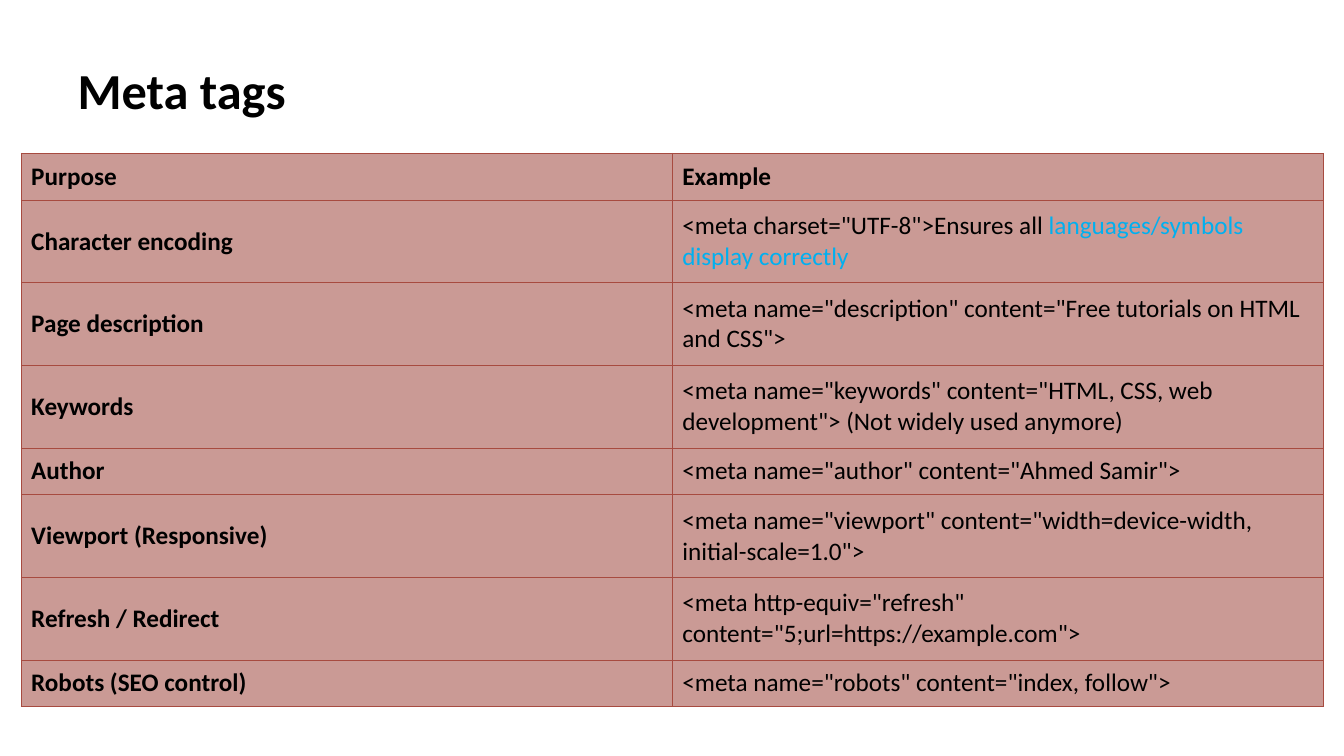
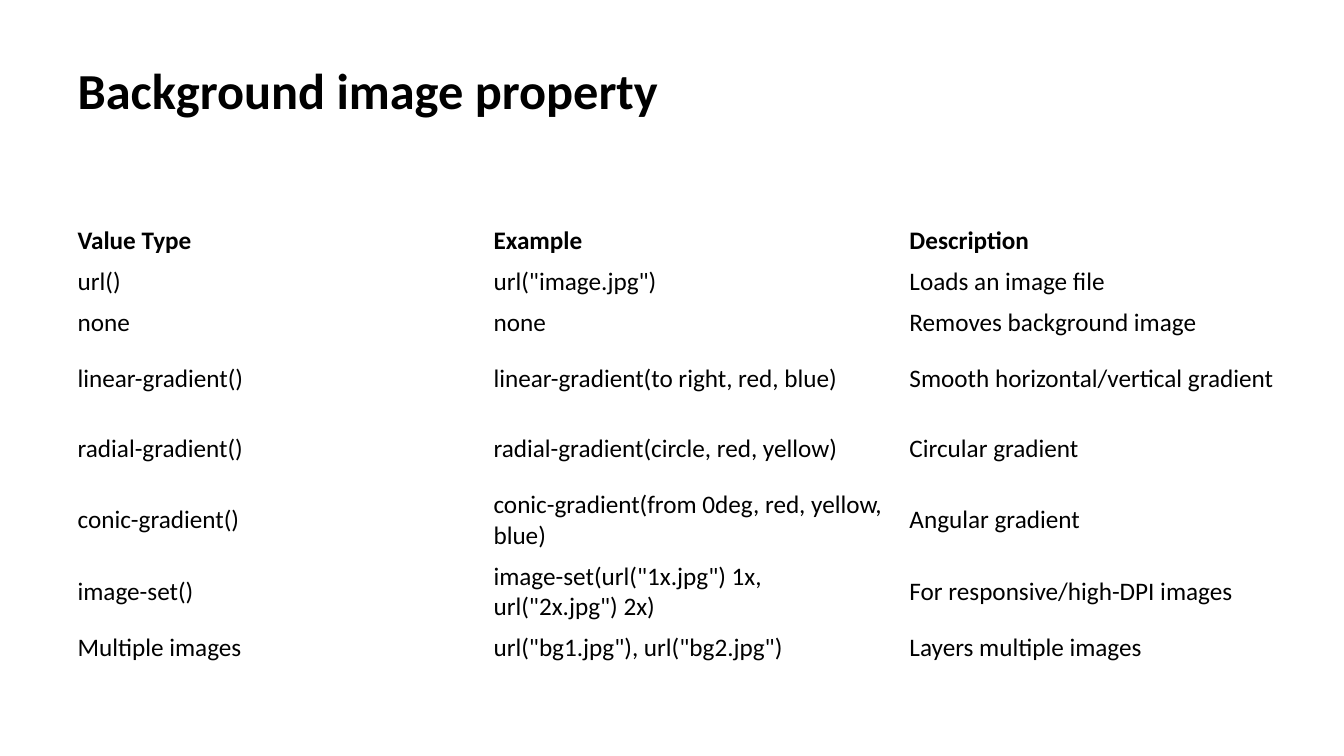
from dataclasses import dataclass

import pptx
import pptx.dml.color
import pptx.enum.text
import pptx.oxml
import pptx.oxml.ns
import pptx.util

Pt = pptx.util.Pt
RGB = pptx.dml.color.RGBColor.from_string
ANCHOR = pptx.enum.text.MSO_ANCHOR


@dataclass(frozen=True)
class Theme:
    font: str = "Calibri"
    title_size: float = 36
    cell_size: float = 18
    text: str = "000000"
    highlight: str = "00B0F0"
    fill: str = "CA9A95"
    border: str = "A74B40"
    border_width: float = 0.5
    plain_table_style: str = "{2D5ABB26-0587-4C30-8999-92F81FD0307C}"


THEME = Theme()
SLIDE_SIZE = (960, 540)
TITLE_BOX = (48.24, 43.2, 838.8, 89.28)

# A cell is a string, or a (plain, highlighted) pair.
SLIDES = [
    {
        "title": "Meta tags",
        "origin": (15.12, 109.44),
        "column_width": 465.12,
        "row_heights": [33.5, 59, 59, 59, 33.5, 59, 59, 33.5],
        "bold_first_column": True,
        "boxed": True,
        "rows": [
            ("Purpose", "Example"),
            ("Character encoding",
             ('<meta charset="UTF-8">Ensures all ', "languages/symbols display correctly")),
            ("Page description",
             '<meta name="description" content="Free tutorials on HTML and CSS">'),
            ("Keywords",
             '<meta name="keywords" content="HTML, CSS, web development"> (Not widely used anymore)'),
            ("Author", '<meta name="author" content="Ahmed Samir">'),
            ("Viewport (Responsive)",
             '<meta name="viewport" content="width=device-width, initial-scale=1.0">'),
            ("Refresh / Redirect",
             '<meta http-equiv="refresh" content="5;url=https://example.com">'),
            ("Robots (SEO control)", '<meta name="robots" content="index, follow">'),
        ],
    },
    {
        "title": "Background image property",
        "origin": (48.24, 157.68),
        "column_width": 297.12,
        "row_heights": [28.8, 28.8, 28.8, 50.4, 50.4, 50.4, 50.4, 28.8],
        "bold_first_column": False,
        "boxed": False,
        "rows": [
            ("Value Type", "Example", "Description"),
            ("url()", 'url("image.jpg")', "Loads an image file"),
            ("none", "none", "Removes background image"),
            ("linear-gradient()", "linear-gradient(to right, red, blue)",
             "Smooth horizontal/vertical gradient"),
            ("radial-gradient()", "radial-gradient(circle, red, yellow)", "Circular gradient"),
            ("conic-gradient()", "conic-gradient(from 0deg, red, yellow, blue)",
             "Angular gradient"),
            ("image-set()", 'image-set(url("1x.jpg") 1x, url("2x.jpg") 2x)',
             "For responsive/high-DPI images"),
            ("Multiple images", 'url("bg1.jpg"), url("bg2.jpg")', "Layers multiple images"),
        ],
    },
]


def style_span(span, size, color, bold):
    span.font.name = THEME.font
    span.font.size = Pt(size)
    span.font.bold = bold
    span.font.color.rgb = RGB(color)


def place_title(box):
    box.left, box.top, box.width, box.height = map(Pt, TITLE_BOX)
    box.text_frame.vertical_anchor = ANCHOR.TOP
    box.text_frame.auto_size = pptx.enum.text.MSO_AUTO_SIZE.NONE


def write_title(box, text):
    box.text_frame.text = text
    para = box.text_frame.paragraphs[0]
    para.alignment = pptx.enum.text.PP_ALIGN.LEFT
    para.line_spacing = 0.9
    style_span(para.runs[0], THEME.title_size, THEME.text, True)


def draw_borders(cell):
    properties = cell._tc.get_or_add_tcPr()
    for position, side in enumerate(("lnL", "lnR", "lnT", "lnB")):
        line = pptx.oxml.parse_xml(
            f'<a:{side} {pptx.oxml.ns.nsdecls("a")} w="{int(Pt(THEME.border_width))}">'
            f'<a:solidFill><a:srgbClr val="{THEME.border}"/></a:solidFill></a:{side}>'
        )
        properties.insert(position, line)


def write_cell(cell, content, bold, boxed):
    cell.vertical_anchor = ANCHOR.MIDDLE
    pieces = (content,) if isinstance(content, str) else content
    para = cell.text_frame.paragraphs[0]
    for piece, color in zip(pieces, (THEME.text, THEME.highlight)):
        span = para.add_run()
        span.text = piece
        style_span(span, THEME.cell_size, color, bold)
    if boxed:
        cell.fill.solid()
        cell.fill.fore_color.rgb = RGB(THEME.fill)
        draw_borders(cell)
    else:
        cell.fill.background()


def add_content_table(page, content):
    rows, heights = content["rows"], content["row_heights"]
    column_count = len(rows[0])
    left, top = content["origin"]
    frame = page.shapes.add_table(
        len(rows), column_count, Pt(left), Pt(top),
        Pt(column_count * content["column_width"]), Pt(sum(heights)),
    )
    table = frame.table
    table.first_row = table.horz_banding = False
    style_id = table._tbl.tblPr.find(pptx.oxml.ns.qn("a:tableStyleId"))
    style_id.text = THEME.plain_table_style
    for column in table.columns:
        column.width = Pt(content["column_width"])
    for r, (row, height) in enumerate(zip(rows, heights)):
        table.rows[r].height = Pt(height)
        for c, text in enumerate(row):
            bold = r == 0 or (c == 0 and content["bold_first_column"])
            write_cell(table.cell(r, c), text, bold, content["boxed"])


def main():
    deck = pptx.Presentation()
    deck.slide_width, deck.slide_height = map(Pt, SLIDE_SIZE)
    layout = deck.slide_layouts.get_by_name("Title Only")
    place_title(layout.placeholders[0])
    for content in SLIDES:
        page = deck.slides.add_slide(layout)
        write_title(page.shapes.title, content["title"])
        add_content_table(page, content)
    deck.save("out.pptx")


if __name__ == "__main__":
    main()
